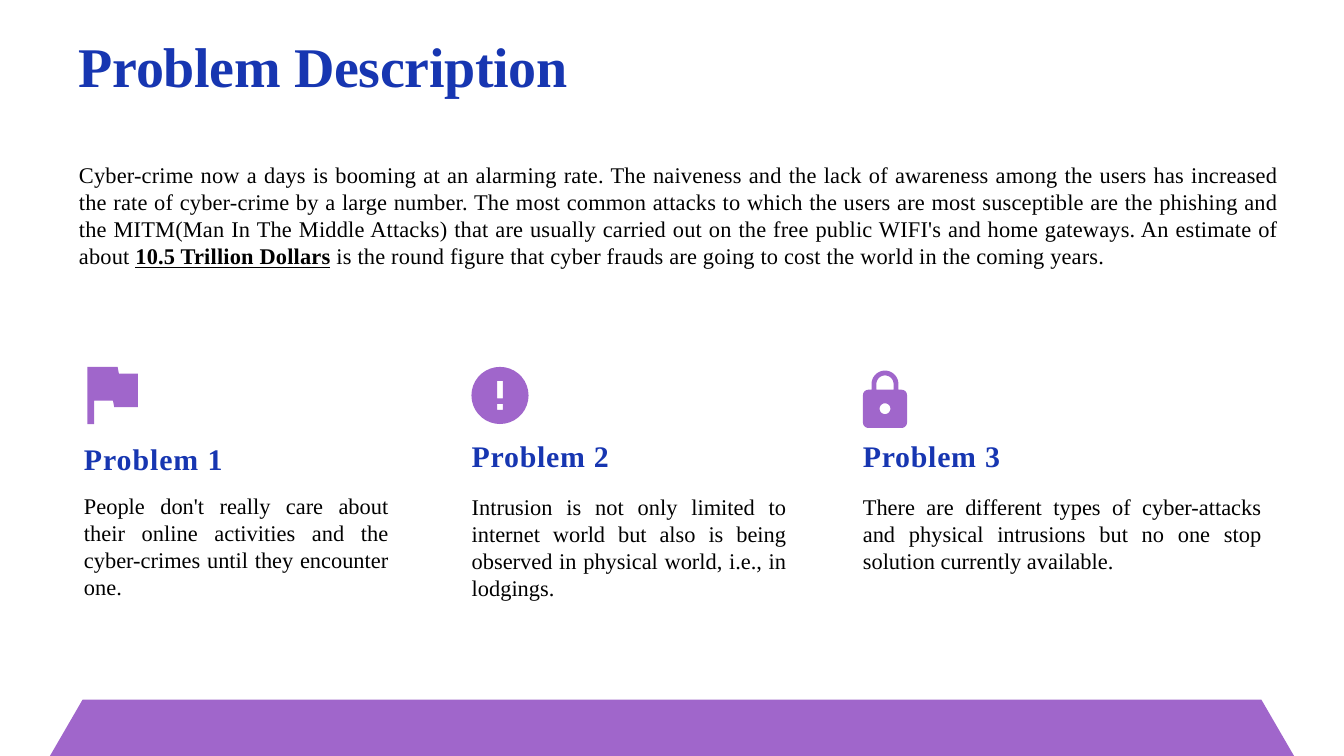
import math

from pptx import Presentation
from pptx import util as u
from pptx.dml.color import RGBColor
from pptx.enum import shapes, text

Pt = u.Pt

THEME = {
    "font": "Times New Roman",
    "accent": RGBColor.from_string("A066CB"),
    "title": {"size": Pt(60), "bold": True, "color": "1736B1"},
    "heading": {"size": Pt(32), "bold": True, "color": "1736B1"},
    "body": {"size": Pt(24), "bold": False, "color": "000000"},
    "strong": {"size": Pt(24), "bold": True, "underline": True, "color": "000000"},
}

TITLE = "Problem Description"
INTRO = [
    ("Cyber-crime now a days is booming at an alarming rate. The naiveness and the lack of "
     "awareness among the users has increased the rate of cyber-crime by a large number. The "
     "most common attacks to which the users are most susceptible are the phishing and the "
     "MITM(Man In The Middle Attacks) that are usually carried out on the free public WIFI's "
     "and home gateways. An estimate of about ", "body", 0.2),
    ("10.5 Trillion Dollars", "strong", 0.2),
    (" is the round figure that cyber frauds are going to cost the world in the coming years.",
     "body", 0.2),
]
PROBLEMS = [
    {"box": (90, 447.8, 326.2, 198), "inset": 24.5, "gap": 16.9, "spacing": 1,
     "heading": "Problem 1",
     "body": "People don't really care about their online activities and the cyber-crimes "
             "until they encounter one."},
    {"box": (505.4, 447.1, 337, 198), "inset": 21.6, "gap": 21.3, "spacing": 0.8,
     "heading": "Problem 2",
     "body": "Intrusion is not only limited to internet world but also is being "
             "observed in physical world, i.e., in lodgings."},
    {"box": (924.5, 447.1, 427, 169.2), "inset": 21.6, "gap": 21.3, "spacing": 0.8,
     "heading": "Problem 3",
     "body": "There are different types of cyber-attacks and physical intrusions but no one "
             "stop solution currently available."},
]


def arc(cx, cy, radius, start=0, end=360, steps=36):
    angles = [math.radians(start + (end - start) * i / steps) for i in range(steps + 1)]
    return [(cx + radius * math.cos(a), cy + radius * math.sin(a)) for a in angles]


def rect(left, top, right, bottom):
    return [(left, top), (right, top), (right, bottom), (left, bottom)]


def round_rect(left, top, right, bottom, radius):
    corners = [(right - radius, bottom - radius), (left + radius, bottom - radius),
               (left + radius, top + radius), (right - radius, top + radius)]
    return [point for i, (x, y) in enumerate(corners)
            for point in arc(x, y, radius, 90 * i, 90 * i + 90, 6)]


FLAG = [[(100.8, 454.3), (93.6, 454.3), (93.6, 393.1), (126, 393.1), (127.4, 400.3),
         (147.6, 400.3), (147.6, 436.3), (122.4, 436.3), (121, 429.1), (100.8, 429.1)]]
ALERT = [arc(535.7, 423.7, 30.6), rect(532.6, 408.2, 538.8, 426.8),
         rect(532.6, 432.8, 538.8, 439.2)]
SHACKLE = ([(933.8, 417.6)] + arc(948.2, 411.5, 14.4, 180, 360) + [(962.6, 417.6), (957.4, 417.6)]
           + arc(948.2, 411.5, 9.2, 360, 180) + [(939, 417.6)])
LOCK = [SHACKLE, round_rect(924.6, 417.6, 971.8, 458.5, 5.8), arc(948.2, 437.9, 5.8)]


def paint(sp):
    sp.shadow.inherit = False
    sp.fill.solid()
    sp.fill.fore_color.rgb = THEME["accent"]
    sp.line.fill.background()


def add_icon(slide, contours):
    fb = None
    for contour in contours:
        points = [(Pt(x), Pt(y)) for x, y in contour]
        if fb is None:
            fb = slide.shapes.build_freeform(*points[0])
        else:
            fb.move_to(*points[0])
        fb.add_line_segments(points[1:], close=True)
    paint(fb.convert_to_shape())


def add_text(slide, box, inset, paragraphs):
    tf = slide.shapes.add_textbox(*map(Pt, box)).text_frame
    frame = {"word_wrap": True, "margin_left": 0, "margin_right": 0,
             "margin_top": Pt(inset), "margin_bottom": 0}
    for name, value in frame.items():
        setattr(tf, name, value)
    for i, (align, before, runs) in enumerate(paragraphs):
        p = tf.add_paragraph() if i else tf.paragraphs[0]
        p.alignment = align
        p.space_before = Pt(before)
        for words, style, spacing in runs:
            r = p.add_run()
            r.text = words
            r.font.name = THEME["font"]
            for name, value in THEME[style].items():
                if name == "color":
                    r.font.color.rgb = RGBColor.from_string(value)
                else:
                    setattr(r.font, name, value)
            r._r.get_or_add_rPr().set("spc", str(round(spacing * 100)))


def main():
    prs = Presentation()
    prs.slide_width, prs.slide_height = Pt(1440), Pt(810)
    s = prs.slides.add_slide(prs.slide_layouts[6])
    left, justify = text.PP_ALIGN.LEFT, text.PP_ALIGN.JUSTIFY

    add_text(s, (84.6, 33.1, 1286.6, 252.7), 1,
             [(left, 0, [(TITLE, "title", -0.4)]), (justify, 67, INTRO)])
    for problem in PROBLEMS:
        add_text(s, problem["box"], problem["inset"],
                 [(left, 0, [(problem["heading"], "heading", problem["spacing"])]),
                  (justify, problem["gap"], [(problem["body"], "body", 0)])])
    for contours in (FLAG, ALERT, LOCK):
        add_icon(s, contours)

    band = s.shapes.add_shape(shapes.MSO_SHAPE.TRAPEZOID, Pt(53.5), Pt(749.5), Pt(1333), Pt(60.5))
    band.adjustments[0] = 0.58
    paint(band)
    prs.save("out.pptx")


if __name__ == "__main__":
    main()
